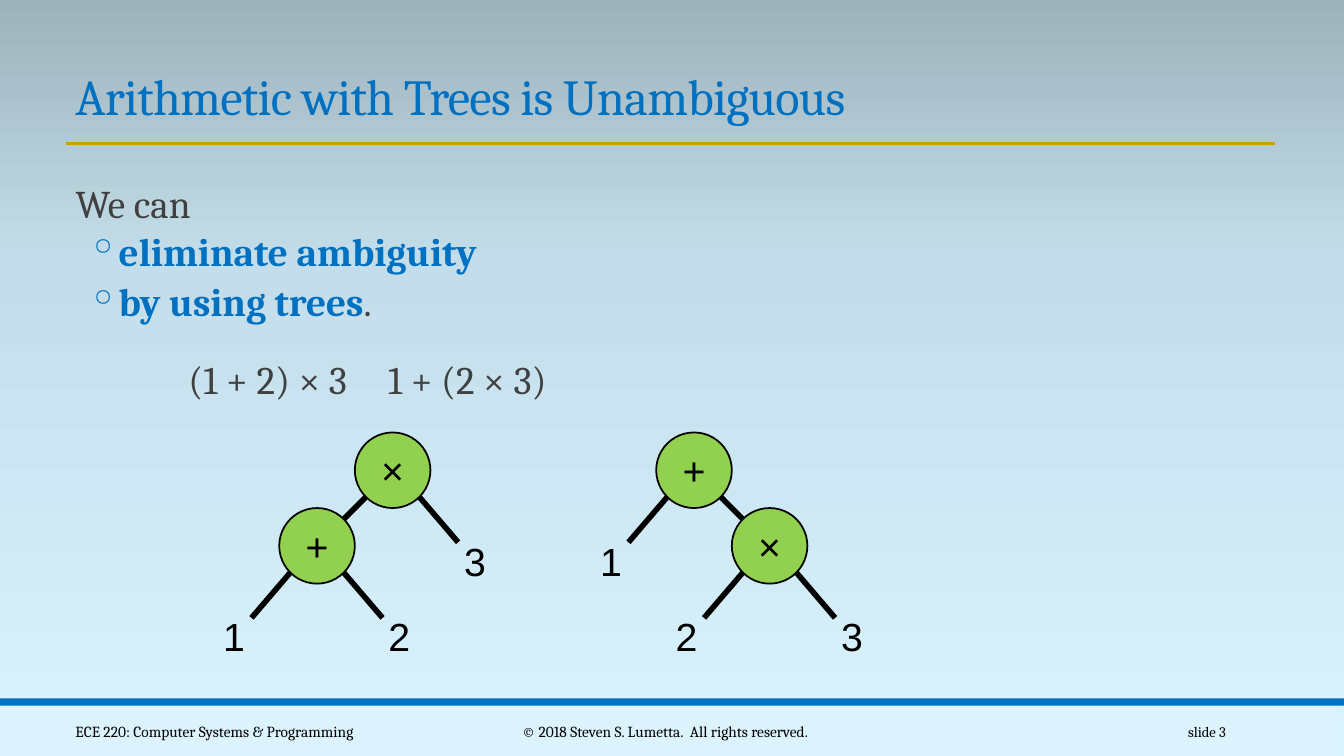
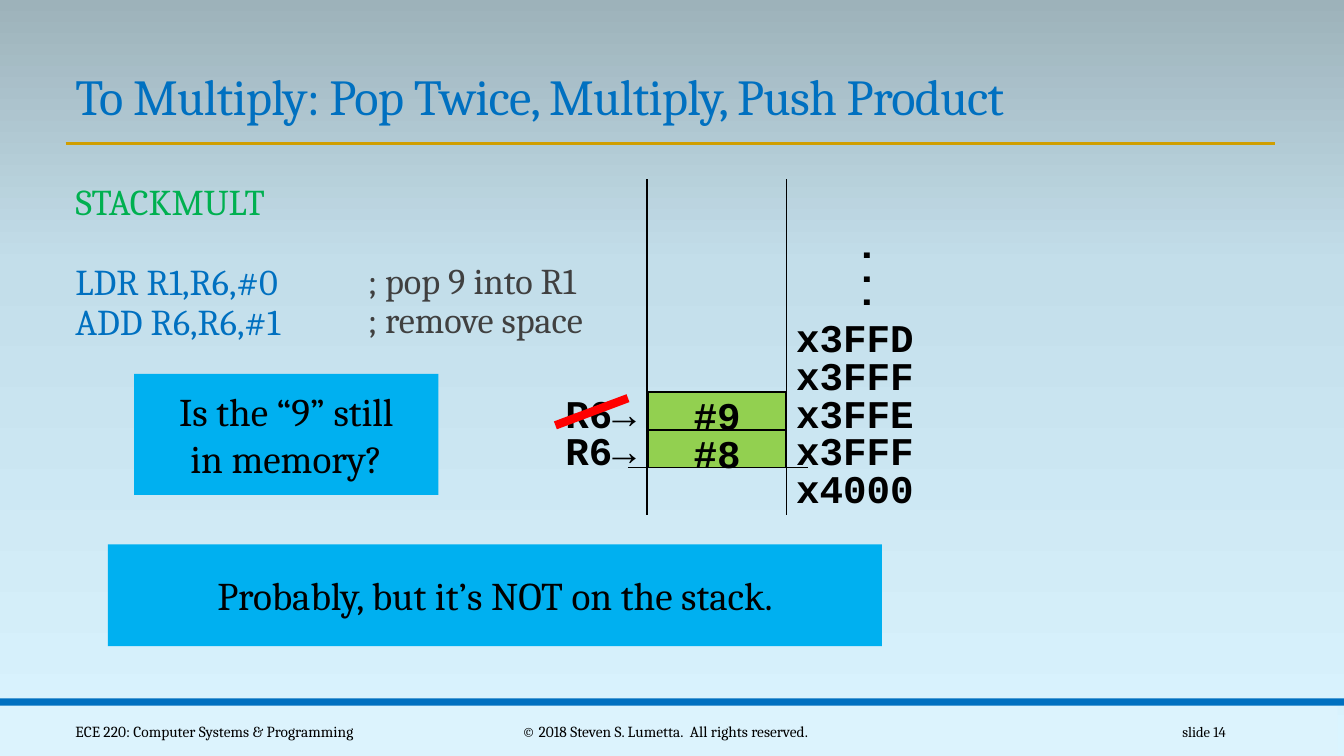
from pptx import Presentation
from pptx.dml.color import RGBColor
from pptx.enum.shapes import MSO_CONNECTOR, MSO_SHAPE
from pptx.enum.text import MSO_ANCHOR, PP_ALIGN
from pptx.oxml import parse_xml
from pptx.oxml.ns import nsdecls, qn
from pptx.util import Inches, Pt

RECTANGLE, ELLIPSE = MSO_SHAPE.RECTANGLE, MSO_SHAPE.OVAL
STRAIGHT = MSO_CONNECTOR.STRAIGHT
LEFT, CENTER, RIGHT = PP_ALIGN.LEFT, PP_ALIGN.CENTER, PP_ALIGN.RIGHT
TOP, MIDDLE, BOTTOM = MSO_ANCHOR.TOP, MSO_ANCHOR.MIDDLE, MSO_ANCHOR.BOTTOM

# Grid: square cells of a tenth of an inch
COLUMNS, ROWS = 133.33, 75
MARGIN = 6.5
RULE_END = 126.5

# Palette
BLUE, GREEN, GOLD, SKY = "0070C0", "00B050", "D09E00", "00B0F0"
LIME, RED, BLACK, GRAY = "92D050", "FF0000", "000000", "404040"
FOOTER_FILL = "DCF3FD"
GRADIENT = [(0, "DAF4FF"), (65, "C3DEEA"), (100, "9DB2BA")]

# Text styles
TITLE = {"name": "Cambria", "size": 36, "color": BLUE}
BODY = {"name": "Cambria", "size": 28, "color": GRAY}
STRONG = {**BODY, "color": BLUE, "bold": True}
CALLOUT = {**BODY, "color": BLACK}
COMMENT = {**BODY, "size": 25.9}
ROUTINE = {**COMMENT, "color": GREEN}
INSTRUCTION = {**BODY, "size": 26, "color": BLUE}
FOOTER = {**CALLOUT, "size": 11}
PAGE = {**CALLOUT, "size": 10.5}
TREE = {"name": "Arial", "size": 28, "color": BLACK}
MONO = {"name": "Courier New", "size": 28, "color": BLACK, "bold": True}


def color(value):
    return RGBColor.from_string(value)


def grid(*cells):
    return [Inches(cell / 10) for cell in cells]


class Deck:
    """Holds the shared style and the slide being drawn."""

    def __init__(self):
        self.presentation = Presentation()
        size = grid(COLUMNS, ROWS)
        self.presentation.slide_width, self.presentation.slide_height = size
        self.slide = None

    def new_slide(self, title, number):
        layout = self.presentation.slide_layouts[6]
        self.slide = self.presentation.slides.add_slide(layout)
        self.background()
        self.shape(RECTANGLE, 0, 70, 132.7, 5, FOOTER_FILL)
        self.shape(RECTANGLE, 0, 69.3, COLUMNS, 0.7, BLUE)
        self.line(MARGIN, 14.2, RULE_END, 14.2, GOLD, 2)
        heading = self.text(title, MARGIN, 5.9, 120, 7.1, TITLE,
                            anchor=BOTTOM, spacing=0.85)
        for run in heading.text_frame.paragraphs[0].runs:
            run.font._element.set("spc", "-50")
        for words, left, width, style, align in (
                ("ECE 220: Computer Systems & Programming",
                 MARGIN, 36.2, FOOTER, LEFT),
                ("© 2018 Steven S. Lumetta.  All rights reserved.",
                 40.3, 51.4, FOOTER, CENTER),
                (f"slide {number}", 108.3, 14.3, PAGE, RIGHT)):
            self.text(words, left, 70.6, width, 4, style,
                      align=align, anchor=MIDDLE)

    def background(self):
        fill = self.slide.background.fill
        fill.gradient()
        fill.gradient_angle = 90
        stops = next(self.slide._element.iter(qn("a:gsLst")))
        for stop in list(stops):
            stops.remove(stop)
        for percent, value in GRADIENT:
            stops.append(parse_xml(
                f'<a:gs {nsdecls("a")} pos="{percent * 1000}">'
                f'<a:srgbClr val="{value}"/></a:gs>'))

    def set_text(self, frame, words, style, align=LEFT, anchor=TOP,
                 spacing=None, wrap=True, insets=(0.1, 0.05, 0.1, 0.05)):
        """Each line of words becomes a paragraph."""
        left, top, right, bottom = map(Inches, insets)
        settings = {"word_wrap": wrap, "vertical_anchor": anchor,
                    "margin_left": left, "margin_top": top,
                    "margin_right": right, "margin_bottom": bottom}
        for name, value in settings.items():
            setattr(frame, name, value)
        for index, line in enumerate(words.split("\n")):
            paragraph = frame.add_paragraph() if index else frame.paragraphs[0]
            paragraph.alignment = align
            if spacing:
                paragraph.line_spacing = spacing
            self.add_words(paragraph, line, style)

    def add_words(self, paragraph, words, style):
        run = paragraph.add_run()
        run.text = words
        for name, value in style.items():
            if name == "color":
                run.font.color.rgb = color(value)
            else:
                setattr(run.font, name, Pt(value) if name == "size" else value)

    def text(self, words, left, top, width, height, style, **layout):
        box = self.slide.shapes.add_textbox(*grid(left, top, width, height))
        self.set_text(box.text_frame, words, style, **layout)
        return box

    def label(self, words, left, top, width, style, **layout):
        return self.text(words, left, top, width, 5.7, style,
                         wrap=False, **layout)

    def body(self, words, left, top, width, height, style):
        return self.text(words, left, top, width, height, style,
                         spacing=0.9, insets=(0, 0.05, 0, 0.05))

    def bullet(self, box, *parts):
        paragraph = box.text_frame.add_paragraph()
        settings = {"line_spacing": 0.9, "space_before": Pt(2),
                    "space_after": Pt(4)}
        for name, value in settings.items():
            setattr(paragraph, name, value)
        properties = paragraph._p.get_or_add_pPr()
        properties.set("marL", str(Inches(0.32)))
        properties.set("indent", str(Inches(-0.2)))
        for markup in (f'<a:buClr {nsdecls("a")}><a:srgbClr val="{BLUE}"/>'
                       '</a:buClr>',
                       f'<a:buChar {nsdecls("a")} char="◦"/>'):
            properties.append(parse_xml(markup))
        for words, style in parts:
            self.add_words(paragraph, words, style)

    def shape(self, kind, left, top, width, height, fill, outline=None,
              words="", style=CALLOUT, **layout):
        shape = self.slide.shapes.add_shape(
            kind, *grid(left, top, width, height))
        shape.shadow.inherit = False
        shape.fill.solid()
        shape.fill.fore_color.rgb = color(fill)
        if outline:
            shape.line.color.rgb = color(BLACK)
            shape.line.width = Pt(outline)
        else:
            shape.line.fill.background()
        if words:
            self.set_text(shape.text_frame, words, style, align=CENTER,
                          anchor=MIDDLE, **layout)

    def line(self, x1, y1, x2, y2, stroke=BLACK, weight=1):
        connector = self.slide.shapes.add_connector(
            STRAIGHT, *grid(x1, y1, x2, y2))
        connector.line.color.rgb = color(stroke)
        connector.line.width = Pt(weight)
        connector._element.spPr.append(
            parse_xml(f'<a:effectLst {nsdecls("a")}/>'))

    def tree(self, node, x, y):
        """Draw (left, operator, right) centred on x, y; leaves are text."""
        diameter, step, rim = 7.5, 7.5, 2.65
        left, operator, right = node
        self.shape(ELLIPSE, x - diameter / 2, y - diameter / 2, diameter,
                   diameter, LIME, 1.25, operator, TREE)
        for side, child in ((-1, left), (1, right)):
            if isinstance(child, tuple):
                end_x, end_y = step - rim, step - rim
                self.tree(child, x + side * step, y + step)
            else:
                end_x, end_y = 6.5, 7.15
                self.label(child, x + side * 8.2 - 2.1, y + 6.15, 4.2, TREE)
            self.line(x + side * rim, y + rim,
                      x + side * end_x, y + end_y, weight=4)


def trees_slide(deck):
    deck.new_slide("Arithmetic with Trees is Unambiguous", 3)
    body = deck.body("We can", 7.5, 17.8, 84, 16, BODY)
    body.text_frame.paragraphs[0].space_after = Pt(2)
    deck.bullet(body, ("eliminate ambiguity", STRONG))
    deck.bullet(body, ("by using trees", STRONG), (".", BODY))
    # Each expression and its tree
    for words, left, node, center in (
            ("(1 + 2) × 3", 18.7, (("1", "+", "2"), "×", "3"), 38.95),
            ("1 + (2 × 3)", 38.5, ("1", "+", ("2", "×", "3")), 68.85)):
        deck.text(words, left, 34.7, 18, 5.7, BODY, anchor=MIDDLE,
                  wrap=False, insets=(0, 0, 0, 0))
        deck.tree(node, center, 46.65)


def stack_slide(deck):
    deck.new_slide("To Multiply: Pop Twice, Multiply, Push Product", 14)
    # Code and its comments
    deck.body("STACKMULT", 7.5, 17.8, 40, 5, ROUTINE)
    deck.body("; pop 9 into R1\n; remove space", 36.5, 25.6, 26, 9, COMMENT)
    for index, words in enumerate(("LDR R1,R6,#0", "ADD R6,R6,#1")):
        deck.label(words, MARGIN, 25.2 + 4 * index, 26.8, INSTRUCTION)
    # Stack walls and base
    stack_left, stack_right, row = 64.2, 78, 3.75
    for x in (stack_left, stack_right):
        deck.line(x, 17.8, x, 51.1)
    deck.line(62.3, 46.4, 80.2, 46.4)
    # Addresses
    addresses = ("x3FFD", "x3FFF", "x3FFE", "x3FFF", "x4000")
    for index, address in enumerate(addresses):
        deck.label(address, stack_right, 30.6 + row * index, 13.8, MONO)
    dots = deck.label("...", 80.2, 24.8, 9.1, MONO)
    dots.rotation = 270
    # Stored values and the stack pointer before and after the pop
    for index, value in enumerate(("#9", "#8")):
        offset = row * index
        deck.shape(RECTANGLE, stack_left + 0.1, 38.9 + offset, 13.7, row,
                   LIME, 1, value, MONO, wrap=False, insets=(0, 0.08, 0, 0))
        deck.label("R6→", 55.1, 38.1 + offset, 9.1, MONO)
    deck.line(55.1, 42.2, 62.3, 39.5, RED, 6)
    # Question and answer
    deck.shape(RECTANGLE, 13.3, 37.1, 30.2, 12, SKY,
               words="Is the “9” still\nin memory?")
    deck.shape(RECTANGLE, 10.7, 54, 76.8, 10.1, SKY,
               words="Probably, but it’s NOT on the stack.")


def main():
    deck = Deck()
    trees_slide(deck)
    stack_slide(deck)
    deck.presentation.save("out.pptx")


if __name__ == "__main__":
    main()
